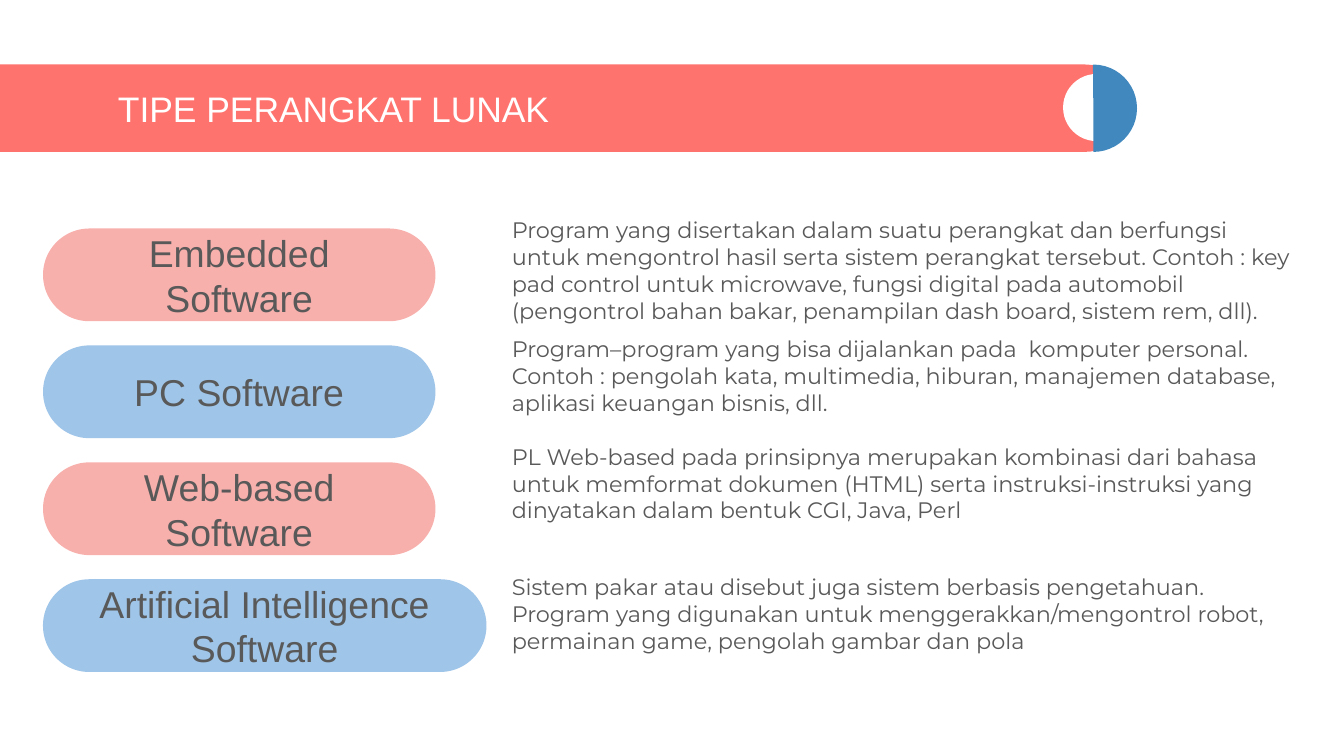
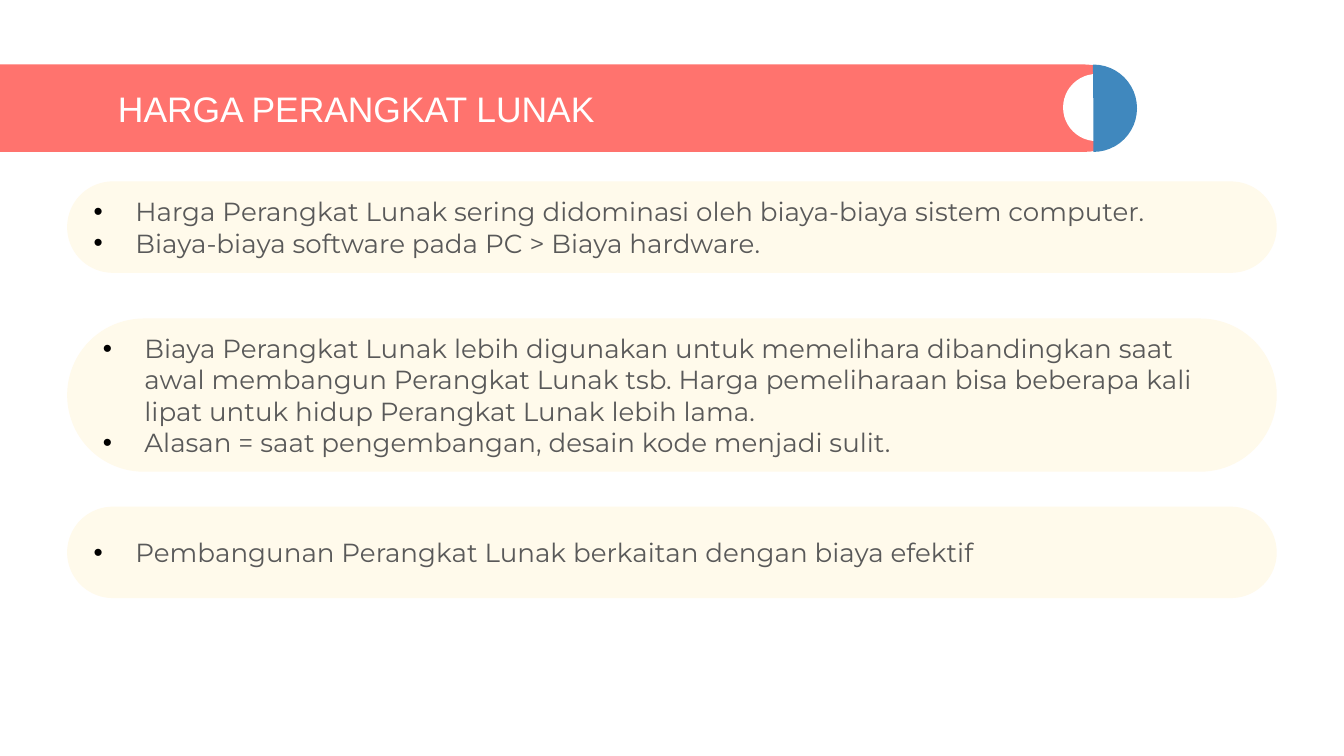
from lxml import etree
from pptx import Presentation
from pptx import util as u
from pptx.dml.color import RGBColor
from pptx.enum import shapes, text
from pptx.oxml.ns import qn

CORAL, BLUE, WHITE = "FF736E", "4088BE", "FFFFFF"
PINK, SKY, CREAM = "F8B0AD", "9FC5E8", "FFFAEB"
GREY, BLACK = "595959", "000000"
HEAD, BODY = "Arial", "Montserrat"
FORM, ALIGN, ANCHOR = shapes.MSO_SHAPE, text.PP_ALIGN, text.MSO_ANCHOR


def hue(code):
    return RGBColor.from_string(code)


def bullet(para):
    props = para._p.get_or_add_pPr()
    props.set("marL", str(u.Inches(0.31)))
    props.set("indent", str(u.Inches(-0.31)))
    tint = etree.SubElement(props, qn("a:buClr"))
    etree.SubElement(tint, qn("a:srgbClr"), val=BLACK)
    etree.SubElement(props, qn("a:buFont"), typeface=HEAD)
    etree.SubElement(props, qn("a:buChar"), char="•")


def write(shape, lines, size=12, font=BODY, color=GREY, align=ALIGN.LEFT,
          anchor=ANCHOR.MIDDLE, gaps=(), dots=False):
    frame = shape.text_frame
    frame.word_wrap = True
    frame.vertical_anchor = anchor
    frame.margin_left = frame.margin_right = u.Inches(0.1)
    frame.margin_top = frame.margin_bottom = u.Inches(0.1)
    for i, line in enumerate(lines):
        para = frame.add_paragraph() if i else frame.paragraphs[0]
        para.alignment = align
        if gaps:
            para.space_before = u.Pt(gaps[i])
        if dots:
            bullet(para)
        run = para.add_run()
        run.text = line
        run.font.size = u.Pt(size)
        run.font.name = font
        run.font.color.rgb = hue(color)


class Deck:
    def __init__(self):
        self.file = Presentation()
        self.file.slide_width = u.Inches(10)
        self.file.slide_height = u.Inches(10 * 9 / 16)
        self.slide = None

    def shape(self, form, box, fill, turn=0, adjust=()):
        item = self.slide.shapes.add_shape(form, *map(u.Inches, box))
        item.shadow.inherit = False
        item.fill.solid()
        item.fill.fore_color.rgb = hue(fill)
        item.line.fill.background()
        item.rotation = turn
        for i, value in enumerate(adjust):
            item.adjustments[i] = value
        return item

    def pill(self, box, fill):
        return self.shape(FORM.ROUNDED_RECTANGLE, box, fill, adjust=[0.5])

    def label(self, box, lines, **style):
        item = self.slide.shapes.add_textbox(*map(u.Inches, box))
        write(item, lines, **style)

    def page(self, title):
        self.slide = self.file.slides.add_slide(self.file.slide_layouts[6])
        self.pill((-0.32, 0.48, 8.72, 0.65), CORAL)
        self.shape(FORM.OVAL, (7.91, 0.55, 0.5, 0.5), WHITE, turn=180)
        self.shape(FORM.PIE, (7.81, 0.48, 0.65, 0.65), BLUE, turn=180,
                   adjust=[53.67, 162])
        self.label((0.78, 0.6, 6.97, 0.41), [title], size=19, font=HEAD,
                   color=WHITE)


def types(deck):
    deck.page("TIPE PERANGKAT LUNAK")
    kinds = [
        ("Embedded Software", 2.92, PINK),
        ("PC Software", 2.92, SKY),
        ("Web-based Software", 2.92, PINK),
        ("Artificial Intelligence Software", 3.3, SKY),
    ]
    for i, (name, width, fill) in enumerate(kinds):
        item = deck.pill((0.32, 1.7 + 0.87 * i, width, 0.69), fill)
        write(item, [name], size=20, font=HEAD, align=ALIGN.CENTER)
    deck.label((3.71, 1.51, 6.07, 0.89), [
        "Program yang disertakan dalam suatu perangkat dan berfungsi  untuk "
        "mengontrol hasil serta sistem perangkat tersebut. Contoh : key pad "
        "control untuk microwave, fungsi digital pada automobil (pengontrol "
        "bahan bakar, penampilan dash board, sistem rem, dll).",
        "Program–program yang bisa dijalankan pada  komputer personal. "
        "Contoh : pengolah kata, multimedia, hiburan, manajemen database, "
        "aplikasi keuangan bisnis, dll.",
        "PL Web-based pada prinsipnya merupakan kombinasi dari bahasa untuk "
        "memformat dokumen (HTML) serta instruksi-instruksi yang dinyatakan "
        "dalam bentuk CGI, Java, Perl",
        "Sistem pakar atau disebut juga sistem berbasis pengetahuan. Program "
        "yang digunakan untuk menggerakkan/mengontrol robot, permainan game, "
        "pengolah gambar dan pola",
    ], anchor=ANCHOR.TOP, gaps=(0, 6, 14.5, 26.5))


def costs(deck):
    deck.page("HARGA PERANGKAT LUNAK")
    notes = [
        (1.35, 0.68, [
            "Harga Perangkat Lunak sering didominasi oleh biaya-biaya sistem "
            "computer.",
            "Biaya-biaya software pada PC > Biaya hardware."]),
        (2.37, 1.14, [
            "Biaya Perangkat Lunak lebih digunakan untuk memelihara "
            "dibandingkan saat awal membangun Perangkat Lunak tsb. Harga "
            "pemeliharaan bisa beberapa kali lipat untuk hidup Perangkat "
            "Lunak lebih lama.",
            "Alasan = saat pengembangan, desain kode menjadi sulit."]),
        (3.77, 0.68, [
            "Pembangunan Perangkat Lunak berkaitan dengan biaya efektif"]),
    ]
    for top, height, lines in notes:
        item = deck.pill((0.5, top, 9, height), CREAM)
        write(item, lines, size=14, dots=True)


def main():
    deck = Deck()
    types(deck)
    costs(deck)
    deck.file.save("out.pptx")


if __name__ == "__main__":
    main()
